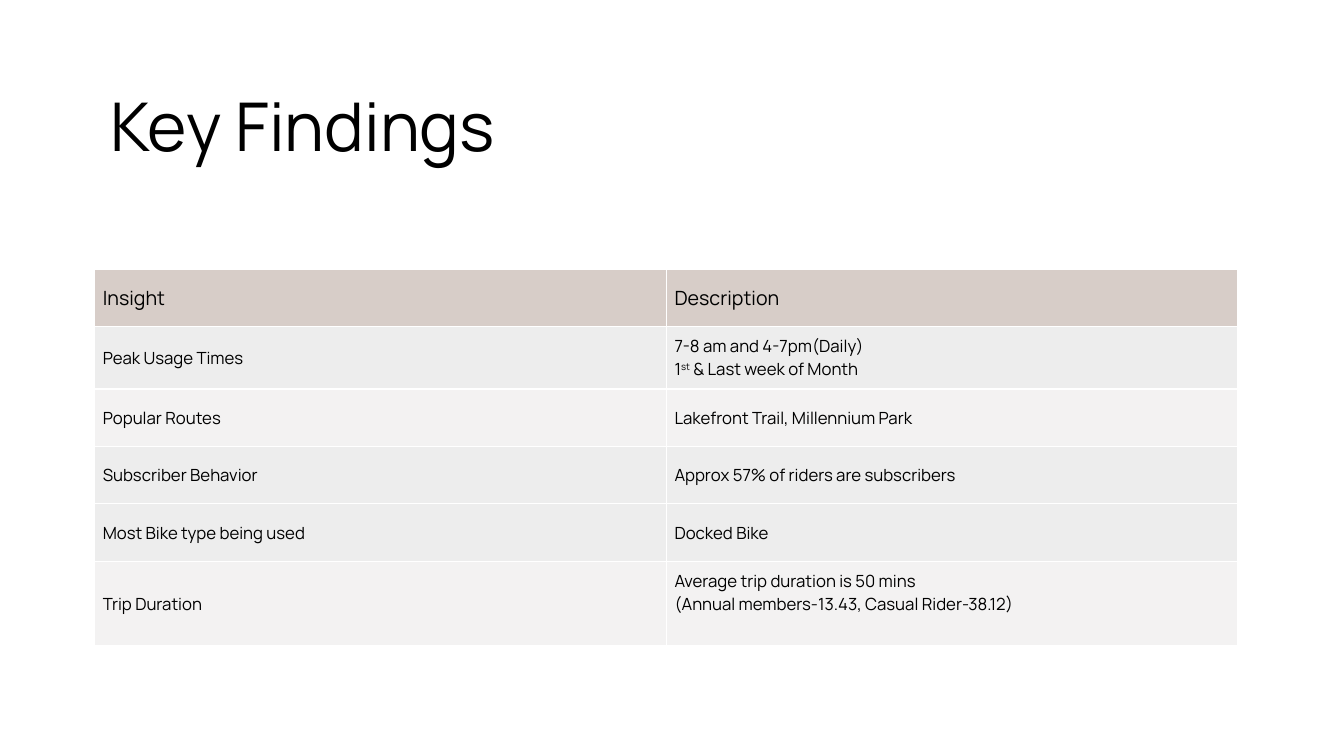
from lxml import etree
from pptx import Presentation
from pptx.dml.color import RGBColor
from pptx.enum import text
from pptx.oxml import ns
from pptx.util import Inches, Pt

# Content: each cell is a list of lines, each line a list of (words, is superscript)
TITLE = "Key Findings"
HEADER = ("Insight", "Description")
FINDINGS = [
    ("Peak Usage Times", ["7-8 am and 4-7pm(Daily)",
                          [("1", False), ("st", True), (" & Last week of Month", False)]]),
    ("Popular Routes", ["Lakefront Trail, Millennium Park"]),
    ("Subscriber Behavior", ["Approx 57% of riders are subscribers"]),
    ("Most Bike type being used", ["Docked Bike"]),
    ("Trip Duration", ["Average trip duration is 50 mins",
                       "(Annual members-13.43, Casual Rider-38.12)"]),
]

# Format values
FONT, BLACK, WHITE = "Manrope", "000000", "FFFFFF"
HEADER_FILL = "D7CDC8"
ROW_FILLS = ["EDEDED", "F3F2F2", "EDEDED", "EDEDED", "F3F2F2"]
ROW_HEIGHTS = [0.57, 0.62, 0.57, 0.57, 0.57, 0.84]
COLUMN_WIDTH = 5.67
INSET = 0.08
LAST_INSET = 0.3  # extra room under the last description


def colour(value):
    return RGBColor.from_string(value)


def write_lines(frame, lines, size):
    for index, line in enumerate(lines):
        para = frame.paragraphs[0] if index == 0 else frame.add_paragraph()
        spans = [(line, False)] if isinstance(line, str) else line
        for words, superscript in spans:
            span = para.add_run()
            span.text = words
            for name, value in {"name": FONT, "size": Pt(size)}.items():
                setattr(span.font, name, value)
            span.font.color.rgb = colour(BLACK)
            if superscript:
                span.font._element.set("baseline", "30000")


def add_borders(cell):
    properties = cell._tc.get_or_add_tcPr()
    for position, side in enumerate(("lnL", "lnR", "lnT", "lnB")):
        line = etree.Element(ns.qn("a:" + side), w=str(Pt(1)))
        fill = etree.SubElement(line, ns.qn("a:solidFill"))
        etree.SubElement(fill, ns.qn("a:srgbClr"), val=WHITE)
        properties.insert(position, line)


def fill_cell(cell, lines, size, fill, bottom=INSET):
    margins = {"margin_left": INSET, "margin_right": INSET,
               "margin_top": INSET, "margin_bottom": bottom}
    for name, value in margins.items():
        setattr(cell, name, Inches(value))
    cell.vertical_anchor = text.MSO_ANCHOR.MIDDLE
    cell.fill.solid()
    cell.fill.fore_color.rgb = colour(fill)
    write_lines(cell.text_frame, lines, size)
    add_borders(cell)


def main():
    deck = Presentation()
    deck.slide_width, deck.slide_height = Inches(13.33), Inches(7.5)
    page = deck.slides.add_slide(deck.slide_layouts[6])

    # Table of findings
    table = page.shapes.add_table(
        len(FINDINGS) + 1, len(HEADER), Inches(0.94), Inches(2.67),
        Inches(COLUMN_WIDTH * len(HEADER)), Inches(sum(ROW_HEIGHTS))).table
    for column in table.columns:
        column.width = Inches(COLUMN_WIDTH)
    for row, height in zip(table.rows, ROW_HEIGHTS):
        row.height = Inches(height)
    for index, label in enumerate(HEADER):
        fill_cell(table.cell(0, index), [label], 14, HEADER_FILL)
    for index, ((insight, description), fill) in enumerate(zip(FINDINGS, ROW_FILLS), 1):
        bottom = LAST_INSET if index == len(FINDINGS) else INSET
        fill_cell(table.cell(index, 0), [insight], 12, fill)
        fill_cell(table.cell(index, 1), description, 12, fill, bottom)

    # Title
    box = page.shapes.add_textbox(Inches(1), Inches(0.79), Inches(11.42), Inches(1.44))
    box.text_frame.word_wrap = True
    write_lines(box.text_frame, [TITLE], 48)

    deck.save("out.pptx")


if __name__ == "__main__":
    main()
